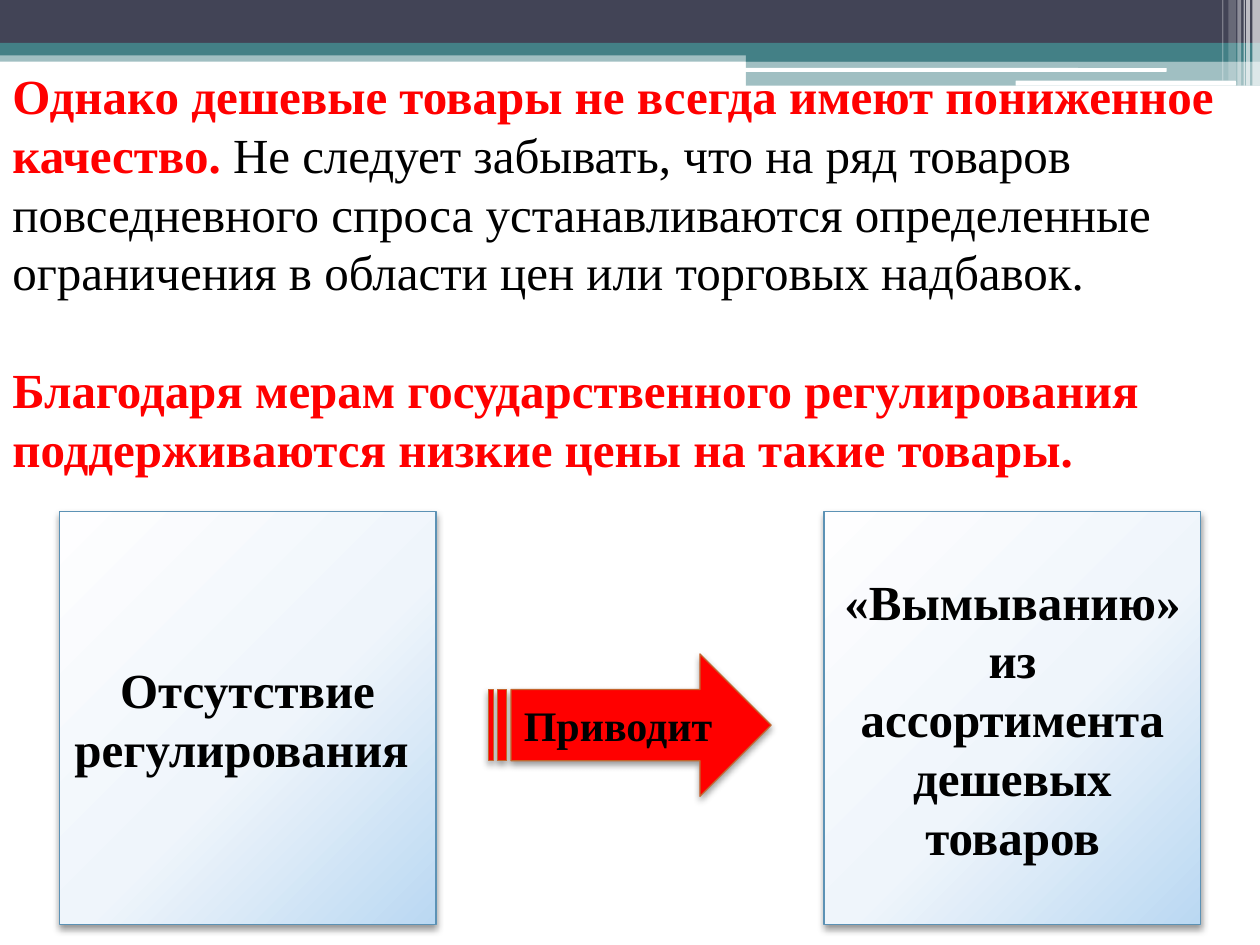
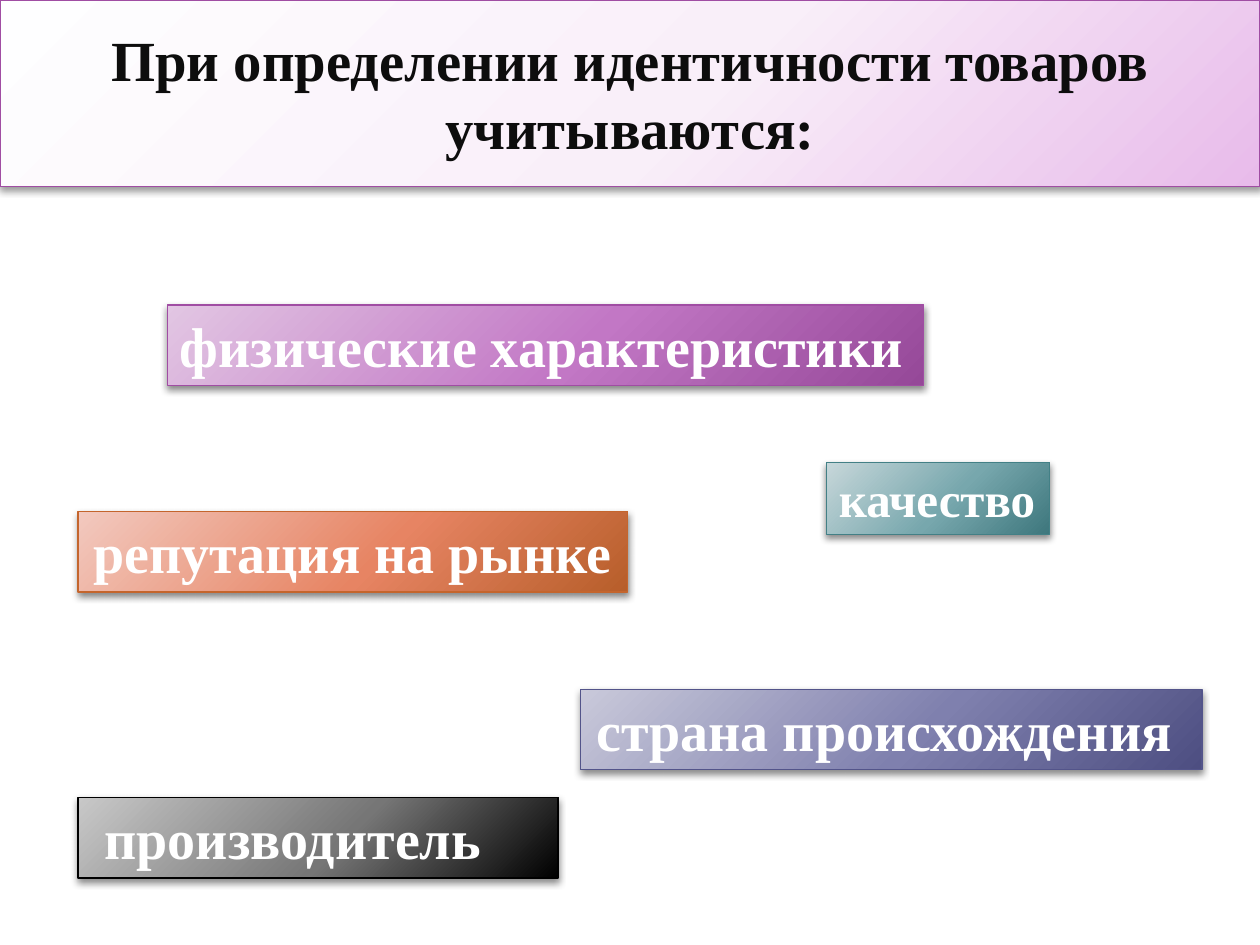
from lxml import etree
from pptx import Presentation
from pptx.dml.color import RGBColor
from pptx.enum.shapes import MSO_SHAPE
from pptx.enum.text import MSO_ANCHOR, MSO_AUTO_SIZE, PP_ALIGN
from pptx.oxml import parse_xml
from pptx.oxml.ns import qn
from pptx.util import Inches, Pt

RECT, ROUND = MSO_SHAPE.RECTANGLE, MSO_SHAPE.ROUNDED_RECTANGLE
ARROW = MSO_SHAPE.STRIPED_RIGHT_ARROW
LEFT, CENTER = PP_ALIGN.LEFT, PP_ALIGN.CENTER
TOP, MIDDLE = MSO_ANCHOR.TOP, MSO_ANCHOR.MIDDLE
GROW, FIXED = MSO_AUTO_SIZE.SHAPE_TO_FIT_TEXT, MSO_AUTO_SIZE.NONE

FONT = "Times New Roman"
COLS, ROWS = 10, 7.5
UNIT = Inches(1)  # one column wide, one row high
DRAWING = "http://schemas.openxmlformats.org/drawingml/2006/main"

C = {"navy": "424456", "teal": "438086", "white": "FFFFFF", "black": "000000",
     "red": "FF0000", "title": "0D0D0D", "rust": "C4652D", "sky": "5C92B5",
     "violet": "A04DA3", "indigo": "53548A"}

# Gradient colours at 0, 55 and 100 percent
GRADIENTS = {
    "pale sky": ("FEFEFF", "EFF5FB", "BAD8F2"),
    "pale violet": ("FEFEFF", "F9EFF9", "E8BBEA"),
    "violet": ("E2C6E3", "C277C5", "954898"),
    "teal": ("C7D7DA", "77A7AD", "3E777D"),
    "rust": ("F2C9BF", "E78463", "B75E2A"),
    "indigo": ("C9C9DA", "7F80AE", "4D4E81"),
    "black": ("C8C8C8", "767676", "000000"),
}

# Master decoration: preset, place, colour, opacity in percent
BANDS = [
    (RECT, (0, 0.4, COLS, 0.09), "teal", 50),
    (RECT, (0, 0, COLS, 0.34), "navy", 100),
    (RECT, (0, 0.34, COLS, 0.1), "teal", 100),
    (RECT, (5.92, 0.39, 4.08, 0.1), "teal", 100),
    (RECT, (5.92, 0.48, 4.08, 0.2), "teal", 50),
    (ROUND, (5.91, 0.54, 3.35, 0.03), "white", 100),
    (ROUND, (8.06, 0.64, 1.75, 0.04), "white", 100),
]
# Light upright stripes: left, width, height, opacity
STRIPES = [(9.94, 0.06, 0.68, 65), (9.89, 0.03, 0.68, 65),
           (9.87, 0.01, 0.68, 60), (9.82, 0.03, 0.68, 40),
           (9.75, 0.06, 0.64, 20), (9.7, 0.01, 0.64, 30)]

# Labels: text, left, top, width, height, colour, format changes
LABELS = [
    ("физические характеристики", 1.33, 2.42, 6, 0.64, "violet", {}),
    ("качество", 6.56, 3.67, 1.77, 0.57, "teal", {"size": 28}),
    ("репутация на рынке", 0.62, 4.06, 4.36, 0.64, "rust", {"align": CENTER}),
    ("страна происхождения ", 4.61, 5.47, 4.93, 0.64, "indigo",
     {"align": CENTER}),
    ("производитель", 0.62, 6.33, 3.81, 0.64, "black",
     {"wrap": True, "inset": 0.21}),
]


def rgb(name):
    """Return the palette colour of that name."""
    return RGBColor.from_string(C[name])


def grid(*place):
    """Turn grid columns and rows into lengths."""
    return [int(v * UNIT) for v in place]


def add_shape(s, preset, place):
    """Add a preset shape without shadow or line."""
    sp = s.shapes.add_shape(preset, *grid(*place))
    sp.shadow.inherit = False
    sp.line.fill.background()
    return sp


def fill_solid(sp, color, opacity=100):
    """Fill with one colour, translucent if opacity is below 100."""
    sp.fill.solid()
    sp.fill.fore_color.rgb = rgb(color)
    if opacity < 100:
        clr = sp.element.spPr.find(".//" + qn("a:srgbClr"))
        etree.SubElement(clr, qn("a:alpha"), val=str(opacity * 1000))


def fill_gradient(sp, name):
    """Fill with a three-colour circular gradient."""
    stops = "".join(
        f'<a:gs pos="{pos}000"><a:srgbClr val="{color}"/></a:gs>'
        for pos, color in zip((0, 55, 100), GRADIENTS[name]))
    sp.fill.solid()
    solid = sp.element.spPr.find(qn("a:solidFill"))
    solid.getparent().replace(solid, parse_xml(
        f'<a:gradFill xmlns:a="{DRAWING}" rotWithShape="1">'
        f'<a:gsLst>{stops}</a:gsLst><a:path path="circle"><a:fillToRect '
        'l="-40000" t="-90000" r="140000" b="190000"/></a:path></a:gradFill>'))


def set_edge(sp, color, opacity=40, blur=4.1):
    """Give a thin outline and a soft shadow below."""
    sp.line.color.rgb = rgb(color)
    sp.line.width = Pt(0.75)
    sp.shadow.inherit = False
    effects = sp.element.spPr.find(qn("a:effectLst"))
    effects.append(parse_xml(
        f'<a:outerShdw xmlns:a="{DRAWING}" blurRad="{Pt(blur)}" '
        f'dist="{Pt(2)}" dir="5400000" algn="t" rotWithShape="0">'
        f'<a:srgbClr val="{C["black"]}"><a:alpha val="{opacity}000"/>'
        '</a:srgbClr></a:outerShdw>'))


def set_frame(sp, wrap=True, fit=FIXED, anchor=MIDDLE):
    """Format the text frame and return it."""
    tf = sp.text_frame
    values = {"auto_size": fit, "word_wrap": wrap, "vertical_anchor": anchor}
    for name, value in values.items():
        setattr(tf, name, value)
    return tf


def write(p, text, size, color, bold=True, align=CENTER):
    """Add a run to a paragraph."""
    p.alignment = align
    r = p.add_run()
    r.text = text
    values = {"name": FONT, "size": Pt(size), "bold": bold}
    for name, value in values.items():
        setattr(r.font, name, value)
    r.font.color.rgb = rgb(color)


def add_master_bands(prs, s):
    """Draw the bands and stripes and move them to the slide master."""
    bands = BANDS + [(RECT, (left, 0, width, height), "white", opacity)
                     for left, width, height, opacity in STRIPES]
    tree = prs.slide_master.shapes.element
    for number, (preset, place, color, opacity) in enumerate(bands, 101):
        sp = add_shape(s, preset, place)
        fill_solid(sp, color, opacity)
        sp.element.nvSpPr.cNvPr.set("id", str(number))
        tree.append(sp.element)


def add_box(s, text, left):
    """Add one of the two tall boxes of the cause and effect diagram."""
    sp = add_shape(s, RECT, (left, 4.06, 2.99, 3.28))
    fill_gradient(sp, "pale sky")
    set_edge(sp, "sky")
    write(set_frame(sp).paragraphs[0], text, 28, "black")


def add_arrow(s, text):
    """Add the striped arrow between the boxes."""
    sp = add_shape(s, ARROW, (3.88, 5.19, 2.24, 1.13))
    fill_solid(sp, "red")
    set_edge(sp, "rust")
    write(set_frame(sp).paragraphs[0], text, 24, "black")


def add_label(s, text, left, top, width, height, color, changes):
    """Add a coloured label with white text."""
    opts = {"size": 32, "align": LEFT, "wrap": False, "inset": 0.1, **changes}
    sp = add_shape(s, RECT, (left, top, width, height))
    fill_gradient(sp, color)
    set_edge(sp, color, opacity=45, blur=4)
    tf = set_frame(sp, opts["wrap"], GROW, TOP)
    tf.margin_left = Inches(opts["inset"])
    write(tf.paragraphs[0], text, opts["size"], "white", align=opts["align"])


def set_title(s, text):
    """Place and format the title as a banner across the slide."""
    sp = s.shapes.title
    sp.left, sp.top, sp.width, sp.height = grid(0, 0, COLS, 1.48)
    fill_gradient(sp, "pale violet")
    set_edge(sp, "violet")
    write(set_frame(sp).paragraphs[0], text, 32.4, "title")


def build_prices(s):
    """Build the slide on cheap goods and price regulation."""
    sp = s.shapes.add_textbox(*grid(0, 0.47, COLS, 3.4))
    tf = set_frame(sp, fit=GROW, anchor=TOP)
    p = tf.paragraphs[0]
    write(p, "Однако дешевые товары не всегда имеют пониженное качество. ",
          28, "red", align=LEFT)
    write(p, "Не следует забывать, что на ряд товаров повседневного спроса "
          "устанавливаются определенные ограничения в области цен или "
          "торговых надбавок. ", 28, "black", bold=False, align=LEFT)
    p = tf.add_paragraph()
    p.space_before = Pt(33.5)
    write(p, "Благодаря мерам государственного регулирования поддерживаются "
          "низкие цены на такие товары. ", 28, "red", align=LEFT)
    add_box(s, "Отсутствие регулирования ", 0.47)
    add_box(s, "«Вымыванию» из ассортимента дешевых товаров", 6.54)
    add_arrow(s, "Приводит ")


def build_identity(s):
    """Build the slide on what makes goods identical."""
    set_title(s, "При определении идентичности товаров учитываются:")
    for label in LABELS:
        add_label(s, *label)


def main():
    """Build and save the presentation."""
    prs = Presentation()
    prs.slide_width, prs.slide_height = grid(COLS, ROWS)
    title_only, blank = prs.slide_layouts[5], prs.slide_layouts[6]
    s = prs.slides.add_slide(blank)
    add_master_bands(prs, s)
    build_prices(s)
    build_identity(prs.slides.add_slide(title_only))
    prs.save("out.pptx")


main()
